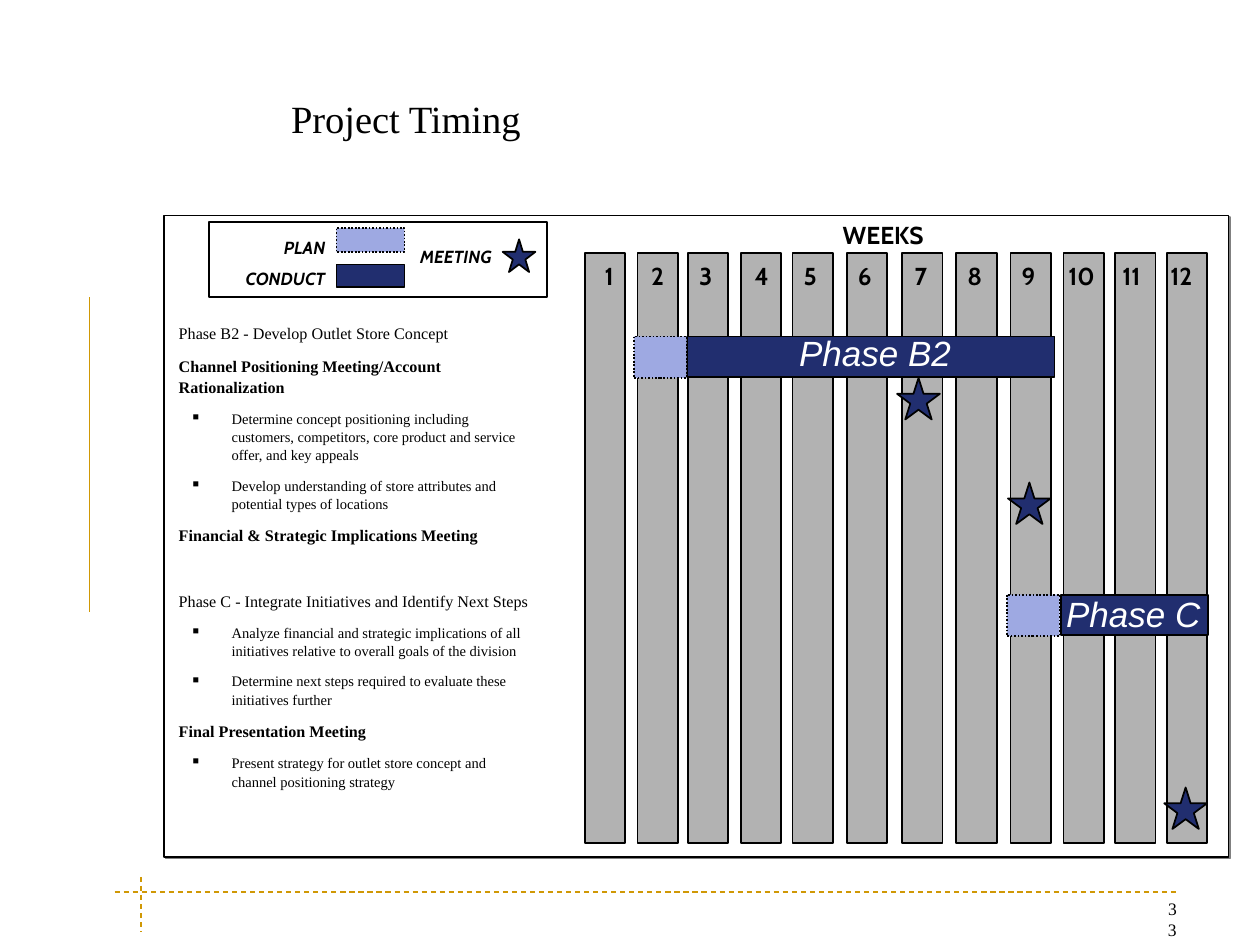
from lxml.etree import SubElement
from pptx import Presentation
from pptx.dml.color import RGBColor
from pptx.enum.dml import MSO_LINE_DASH_STYLE as Dash
from pptx.enum.shapes import MSO_CONNECTOR, MSO_SHAPE as Shape
from pptx.enum.text import MSO_ANCHOR, MSO_AUTO_SIZE, PP_ALIGN as Align
from pptx.oxml.ns import qn
from pptx.util import Inches, Pt

NAVY, LILAC, GRAY, GOLD = "212E6F", "9EA9E2", "B2B2B2", "D09805"
BLACK, WHITE, SHADOW = "000000", "FFFFFF", "808080"

SERIF = dict(name="Times New Roman", size=Pt(9.2))
BULLET = dict(SERIF, size=Pt(8.3))
LABEL = dict(name="Cabin", size=Pt(14), bold=True)
LEGEND = dict(LABEL, size=Pt(10), italic=True)
PHASE = dict(name="Arial", size=Pt(20), italic=True)

COLUMN_CENTERS = [4.8, 5.22, 5.62, 6.04, 6.45, 6.88, 7.32, 7.75, 8.18, 8.6, 9.01, 9.42]
NUMBER_LEFTS = [4.7, 5.07, 5.45, 5.89, 6.28, 6.71, 7.16, 7.58, 8.01, 8.38, 8.81, 9.19]

# Kind of line and its wording
ACTIVITIES = [
    ("phase", "Phase B2 - Develop Outlet Store Concept"),
    ("meeting", "Channel Positioning Meeting/Account Rationalization"),
    ("task", "Determine concept positioning including customers, competitors, "
             "core product and service offer, and key appeals"),
    ("task", "Develop understanding of store attributes and potential types of locations"),
    ("meeting", "Financial & Strategic Implications Meeting"),
    ("phase", "Phase C - Integrate Initiatives and Identify Next Steps"),
    ("task", "Analyze financial and strategic implications of all initiatives "
             "relative to overall goals of the division"),
    ("task", "Determine next steps required to evaluate these initiatives further"),
    ("meeting", "Final Presentation Meeting"),
    ("task", "Present strategy for outlet store concept and channel positioning strategy"),
]


def rgb(color):
    return RGBColor.from_string(color)


def add_run(p, text, font, color=BLACK):
    r = p.add_run()
    r.text = text
    for name, value in font.items():
        setattr(r.font, name, value)
    r.font.color.rgb = rgb(color)


def add_text(s, box, lines, font, color=BLACK, align=Align.LEFT, wrap=True, **spacing):
    """Add one paragraph per line; spacing holds paragraph attributes."""
    tf = s.shapes.add_textbox(*map(Inches, box)).text_frame
    tf.word_wrap = wrap
    for i, line in enumerate(lines):
        p = tf.add_paragraph() if i else tf.paragraphs[0]
        p.alignment = align
        for name, value in spacing.items():
            if i or name != "space_before":
                setattr(p, name, value)
        add_run(p, line, font, color)
    return tf


def add_box(s, kind, box, fill=None, dash=None):
    sp = s.shapes.add_shape(kind, *map(Inches, box))
    sp.shadow.inherit = False
    if fill:
        sp.fill.solid()
        sp.fill.fore_color.rgb = rgb(fill)
    else:
        sp.fill.background()
    sp.line.color.rgb = rgb(BLACK)
    sp.line.width = Pt(1)
    if dash:
        sp.line.dash_style = dash
    return sp


def add_rule(s, ends, dash=None):
    line = s.shapes.add_connector(MSO_CONNECTOR.STRAIGHT, *map(Inches, ends))
    line.line.color.rgb = rgb(GOLD)
    line.line.width = Pt(0.75)
    if dash:
        line.line.dash_style = dash
    SubElement(line._element.spPr, qn("a:effectLst"))


def add_shadow(sp):
    effects = sp._element.spPr.find(qn("a:effectLst"))
    shadow = SubElement(effects, qn("a:outerShdw"), dist=str(Pt(1.4)),
                        dir=str(45 * 60000), algn="ctr", rotWithShape="0")
    SubElement(shadow, qn("a:srgbClr"), val=SHADOW)


def set_indent(p, left, first=0):
    pPr = p._p.get_or_add_pPr()
    pPr.set("marL", str(Inches(left)))
    pPr.set("indent", str(Inches(first)))
    return pPr


def add_bullet(p):
    pPr = set_indent(p, 0.42, -0.31)
    SubElement(SubElement(pPr, qn("a:buClr")), qn("a:srgbClr"), val=BLACK)
    SubElement(pPr, qn("a:buSzPct"), val="60000")
    SubElement(pPr, qn("a:buChar"), char="■")


def add_title(s, text):
    title = s.shapes.title
    title.left, title.top, title.width, title.height = map(Inches, (2.21, 0, 7.7, 1.17))
    tf = title.text_frame
    tf.auto_size = MSO_AUTO_SIZE.NONE
    tf.vertical_anchor = MSO_ANCHOR.BOTTOM
    p = tf.paragraphs[0]
    p.alignment = Align.LEFT
    add_run(p, text, dict(SERIF, size=Pt(22)))


def add_activities(s):
    tf = s.shapes.add_textbox(*map(Inches, (1.32, 2.51, 3.01, 3.75))).text_frame
    tf.word_wrap = True
    for i, (kind, text) in enumerate(ACTIVITIES):
        p = tf.add_paragraph() if i else tf.paragraphs[0]
        if kind == "task":
            add_bullet(p)
            before, after, font = 2.2, 4.5, BULLET
        else:
            before, after = (21 if kind == "phase" else 2.5), 5
            font = dict(SERIF, bold=kind == "meeting")
        p.line_spacing = 1.05
        if i:
            p.space_before = Pt(before)
        p.space_after = Pt(after)
        add_run(p, text, font)


def add_weeks(s):
    add_text(s, (6.59, 1.7, 0.84, 0.34), ["WEEKS"], LABEL, wrap=False)
    for week, (center, left) in enumerate(zip(COLUMN_CENTERS, NUMBER_LEFTS), 1):
        add_box(s, Shape.RECTANGLE, (center - 0.16, 2.01, 0.32, 4.68), GRAY)
        width = 0.31 if week < 10 else 0.42
        add_text(s, (left, 2.05, width, 0.31), [str(week)], LABEL,
                 wrap=False, line_spacing=0.9)


def add_phase(s, name, plan_left, top, conduct, label):
    """Draw the plan bar, the conduct bar (left, width) and the phase name."""
    left, width = conduct
    add_box(s, Shape.RECTANGLE, (left, top, width, 0.32), NAVY)
    add_text(s, label, [name], PHASE, WHITE, Align.CENTER)
    add_box(s, Shape.RECTANGLE, (plan_left, top, 0.42, 0.33), LILAC, Dash.ROUND_DOT)


def add_legend(s):
    add_box(s, Shape.RECTANGLE, (1.66, 1.76, 2.68, 0.6))
    add_box(s, Shape.RECTANGLE, (2.67, 2.1, 0.54, 0.18), NAVY)
    add_box(s, Shape.RECTANGLE, (2.67, 1.81, 0.54, 0.19), LILAC, Dash.ROUND_DOT)
    add_box(s, Shape.STAR_5_POINT, (3.99, 1.9, 0.26, 0.26), NAVY)
    add_text(s, (1.42, 1.83, 1.26, 0.51), ["PLAN", "CONDUCT"], LEGEND,
             align=Align.RIGHT, space_before=Pt(5.6))
    add_text(s, (2.74, 1.9, 1.26, 0.27), ["MEETING"], LEGEND, align=Align.RIGHT)


def main():
    prs = Presentation()
    prs.slide_width, prs.slide_height = Inches(10), Inches(7.5)
    s = prs.slides.add_slide(prs.slide_layouts[5])

    add_rule(s, (0.71, 2.36, 0.71, 4.86))
    add_rule(s, (0.91, 7.08, 9.33, 7.08), Dash.DASH)
    add_rule(s, (1.12, 6.96, 1.12, 7.4), Dash.DASH)
    add_shadow(add_box(s, Shape.RECTANGLE, (1.3, 1.71, 8.45, 5.09), WHITE))

    add_title(s, "Project Timing")
    add_activities(s)
    add_weeks(s)
    add_phase(s, "Phase B2", 5.03, 2.67, (5.45, 2.92), (6.2, 2.58, 1.49, 0.44))
    add_phase(s, "Phase C", 7.99, 4.72, (8.42, 1.17), (8.33, 4.65, 1.33, 0.44))
    for left, top in [(7.12, 3), (8, 3.83), (9.24, 6.25)]:
        add_box(s, Shape.STAR_5_POINT, (left, top, 0.34, 0.33), NAVY)
    add_legend(s)

    number = add_text(s, (9, 7.08, 0.42, 0.34), ["33"], dict(SERIF, size=Pt(10)),
                      align=Align.RIGHT)
    set_indent(number.paragraphs[0], 0.24)
    prs.save("out.pptx")


if __name__ == "__main__":
    main()
